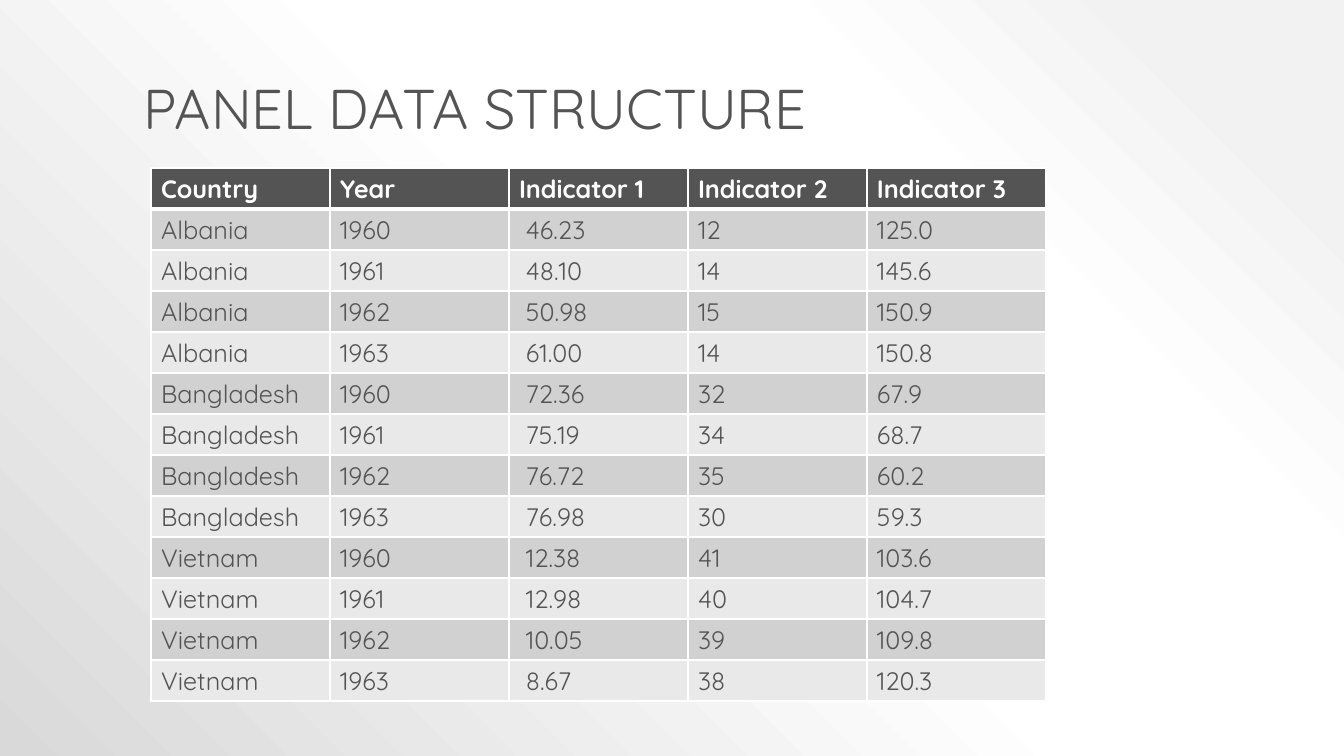
from lxml import etree
from pptx import Presentation
from pptx.dml.color import RGBColor
from pptx.enum.text import MSO_ANCHOR, PP_ALIGN
from pptx.oxml import parse_xml
from pptx.oxml.ns import nsdecls, qn
from pptx.util import Emu, Pt

LEFT = PP_ALIGN.LEFT
TOP = MSO_ANCHOR.TOP
EMU_PER_PX = 914400 / 100.8

DARK = "545454"
WHITE = "FFFFFF"
BAND_FILLS = ("D1D1D1", "E9E9E9")
BACKGROUND_STOPS = ((10, "F2F2F2"), (28, WHITE), (48, WHITE), (100, "D9D9D9"))

HEADERS = ("Country", "Year", "Indicator 1", "Indicator 2", "Indicator 3")
FIRST_YEAR = 1960
PANELS = {
    "Albania": (
        (" 46.23", "12", "125.0"),
        (" 48.10", "14", "145.6"),
        (" 50.98", "15", "150.9"),
        (" 61.00", "14", "150.8"),
    ),
    "Bangladesh": (
        (" 72.36", "32", "67.9"),
        (" 75.19", "34", "68.7"),
        (" 76.72", "35", "60.2"),
        (" 76.98", "30", "59.3"),
    ),
    "Vietnam": (
        (" 12.38", "41", "103.6"),
        (" 12.98", "40", "104.7"),
        (" 10.05", "39", "109.8"),
        (" 8.67", "38", "120.3"),
    ),
}


def px(length):
    return Emu(round(length * EMU_PER_PX))


def color(hex_string):
    return RGBColor.from_string(hex_string)


def write_text(frame, text, font="Quicksand", size=18, fill=DARK, bold=False,
               line_spacing=1.0):
    paragraph = frame.paragraphs[0]
    paragraph.alignment = LEFT
    paragraph.line_spacing = line_spacing
    run = paragraph.add_run()
    run.text = text
    run.font.name = font
    run.font.size = Pt(size)
    run.font.bold = bold
    run.font.color.rgb = color(fill)


def set_borders(cell, top=1, bottom=1):
    """Draw white cell borders; widths are in points."""
    properties = cell._tc.get_or_add_tcPr()
    widths = {"lnL": 1, "lnR": 1, "lnT": top, "lnB": bottom}
    for position, (edge, width) in enumerate(widths.items()):
        line = etree.Element(qn(f"a:{edge}"), w=str(Pt(width)))
        fill = etree.SubElement(line, qn("a:solidFill"))
        etree.SubElement(fill, qn("a:srgbClr"), val=WHITE)
        properties.insert(position, line)


class SlideBuilder:
    def __init__(self, presentation):
        self.slide = presentation.slides.add_slide(presentation.slide_layouts[6])

    def background(self, stops):
        """Fill the background with rings centred on the top right corner."""
        stop_xml = "".join(
            f'<a:gs pos="{percent * 1000}"><a:srgbClr val="{value}"/></a:gs>'
            for percent, value in stops)
        gradient = parse_xml(
            f'<a:gradFill {nsdecls("a")} rotWithShape="1">'
            f'<a:gsLst>{stop_xml}</a:gsLst><a:path path="circle">'
            '<a:fillToRect l="100000" t="0" r="0" b="100000"/>'
            '</a:path></a:gradFill>')
        fill = self.slide.background.fill
        fill.solid()
        properties = self.slide._element.cSld.bg.bgPr
        properties.replace(properties.find(qn("a:solidFill")), gradient)

    def title(self, text, left, top, width, height):
        shape = self.slide.shapes.add_textbox(px(left), px(top), px(width), px(height))
        frame = shape.text_frame
        frame.word_wrap = True
        frame.vertical_anchor = TOP
        write_text(frame, text, size=40, line_spacing=0.9)

    def table(self, rows, left, top, column_width, row_height):
        column_count = len(rows[0])
        table = self.slide.shapes.add_table(
            len(rows), column_count, px(left), px(top),
            px(column_width * column_count), px(row_height * len(rows))).table
        for column in table.columns:
            column.width = px(column_width)
        for row_index, values in enumerate(rows):
            table.rows[row_index].height = px(row_height)
            is_header = row_index == 0
            fill = DARK if is_header else BAND_FILLS[(row_index - 1) % 2]
            for column_index, value in enumerate(values):
                cell = table.cell(row_index, column_index)
                cell.fill.solid()
                cell.fill.fore_color.rgb = color(fill)
                set_borders(cell, top=3 if row_index == 1 else 1,
                            bottom=3 if is_header else 1)
                write_text(cell.text_frame, value, bold=is_header,
                           fill=WHITE if is_header else DARK)


def main():
    presentation = Presentation()
    presentation.slide_width = px(1344)
    presentation.slide_height = px(756)
    builder = SlideBuilder(presentation)
    builder.background(BACKGROUND_STOPS)
    builder.title("PANEL DATA STRUCTURE", 134, 76, 866, 126)
    rows = [HEADERS]
    for country, observations in PANELS.items():
        for year, indicators in enumerate(observations, FIRST_YEAR):
            rows.append((country, str(year), *indicators))
    builder.table(rows, left=151, top=168, column_width=179, row_height=41)
    presentation.save("out.pptx")


if __name__ == "__main__":
    main()
